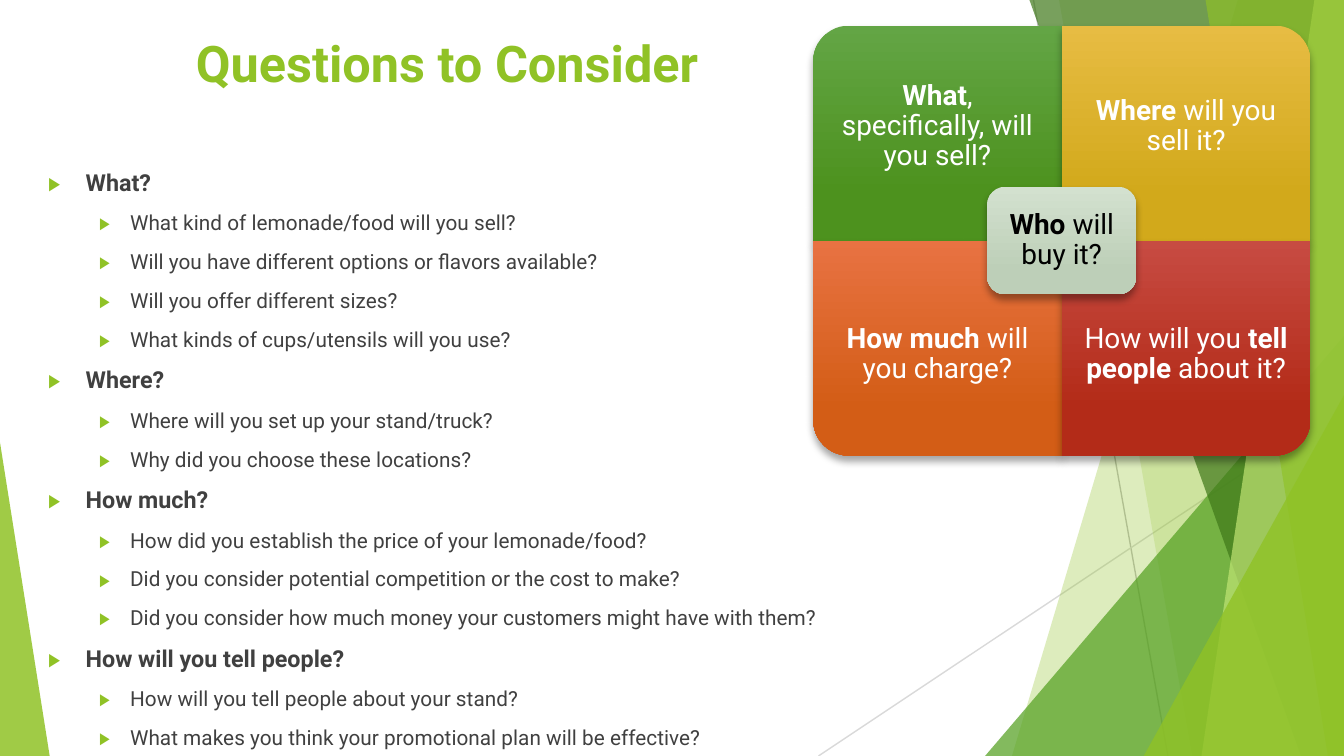
"""Build the lemonade stand slide "Questions to Consider"."""
import pptx
import pptx.util
import pptx.dml.color
import pptx.enum.shapes
import pptx.enum.text
import pptx.oxml
import pptx.oxml.ns
from lxml import etree

Inches, Pt = pptx.util.Inches, pptx.util.Pt
SHAPE = pptx.enum.shapes.MSO_SHAPE
qn = pptx.oxml.ns.qn

W = 10
H = W * 9 / 16
FONT, BULLET_FONT = "Roboto", "Noto Sans Symbols"
COLORS = {
    "lime": "90C226", "green": "54A021", "forest": "3F7819", "pale": "C0E474",
    "text": "404040", "white": "FFFFFF", "black": "000000",
    "line": "BFBFBF", "faint": "D9D9D9",
}
LINES = [((7.69, 0), (8.69, H), "line"), ((W, 3.02), (6.09, H), "faint")]
FACETS = [
    ("band", 9.21, 7.53, "lime", 30),
    ("band", 7.88, 8.87, "lime", 20),
    ("triangle", 7.33, 2.5, "green", 72),
    ("band", 7.66, 9.68, "forest", 70),
    ("band", 9.78, 8.94, "pale", 70),
    ("band", 8.97, 9.88, "lime", 65),
    ("triangle", 8.51, 2.94, "lime", 80),
]
TITLE = "Questions to Consider"
QUESTIONS = [
    ("What?", ["What kind of lemonade/food will you sell?",
               "Will you have different options or flavors available?",
               "Will you offer different sizes?",
               "What kinds of cups/utensils will you use?"]),
    ("Where?", ["Where will you set up your stand/truck?",
                "Why did you choose these locations?"]),
    ("How much?", ["How did you establish the price of your lemonade/food?",
                   "Did you consider potential competition or the cost to make?",
                   "Did you consider how much money your customers might have with them?"]),
    ("How will you tell people?", ["How will you tell people about your stand?",
                                   "What makes you think your promotional plan will be effective?"]),
]
LEVELS = [(12.5, True, 0.28, -0.28), (11.1, False, 0.61, -0.23)]
TILES = [
    (0, 0, 270, "63A545", "4D921E", [("What", True), (", specifically, will you sell?", False)]),
    (1, 0, 0, "E7BC43", "D2A91B", [("Where", True), (" will you sell it?", False)]),
    (0, 1, 180, "E87242", "D35D16", [("How much ", True), ("will you charge?", False)]),
    (1, 1, 90, "C74B42", "B32B18", [("How will you ", False), ("tell people", True), (" about it?", False)]),
]
HUB = ("D3E1CF", "BDCFB8", [("Who", True), (" will buy it?", False)])
GRID_X, GRID_Y, TILE_W, TILE_H = 6.05, 0.19, 1.85, 1.6
HUB_W, HUB_H = 1.11, 0.8
TEXT_H, TEXT_TOPS = 1.2, (0.15, 0.25)

prs = pptx.Presentation()
prs.slide_width, prs.slide_height = Inches(W), Inches(H)
shapes = prs.slides.add_slide(prs.slide_layouts[6]).shapes


def rgb(value):
    return pptx.dml.color.RGBColor.from_string(value)


def add_xml(parent, tag, **attrs):
    return etree.SubElement(parent, qn(tag), {k: str(v) for k, v in attrs.items()})


def style_font(font, size, color, bold=None):
    font.name, font.size, font.bold = FONT, Pt(size), bold
    font.color.rgb = rgb(COLORS[color])


def add_preset(kind, x, y, w, h):
    sp = shapes.add_shape(kind, Inches(x), Inches(y), Inches(w), Inches(h))
    sp.shadow.inherit = False
    sp.line.fill.background()
    return sp


def fill_clear(sp, color, opacity):
    sp.shadow.inherit = False
    sp.line.fill.background()
    sp.fill.solid()
    sp.fill.fore_color.rgb = rgb(COLORS[color])
    add_xml(sp._element.spPr.find(".//" + qn("a:srgbClr")), "a:alpha", val=opacity * 1000)


def add_facet(kind, a, b, color, opacity):
    if kind == "triangle":
        sp = add_preset(SHAPE.ISOSCELES_TRIANGLE, a, b, W - a, H - b)
        sp.adjustments[0] = 1
    else:
        builder = shapes.build_freeform(Inches(a), 0)
        builder.add_line_segments([(Inches(x), Inches(y)) for x, y in ((W, 0), (W, H), (b, H))])
        sp = builder.convert_to_shape()
    fill_clear(sp, color, opacity)


def add_card(kind, x, y, w, h, light, dark, turn=0):
    if turn % 180:
        x, y, w, h = x + (w - h) / 2, y + (h - w) / 2, h, w
    sp = add_preset(kind, x, y, w, h)
    sp.rotation = turn
    sp.fill.gradient()
    sp.fill.gradient_angle = 270
    for stop, color, position in zip(sp.fill.gradient_stops, (light, dark), (0, 0.78)):
        stop.color.rgb, stop.position = rgb(color), position
    spPr = sp._element.spPr
    spPr.find(qn("a:gradFill")).set("rotWithShape", "0")
    shadow = add_xml(spPr.find(qn("a:effectLst")), "a:outerShdw", blurRad=Pt(4), dist=Pt(3),
                     dir=5400000, algn="ctr", rotWithShape=0)
    add_xml(add_xml(shadow, "a:srgbClr", val=COLORS["black"]), "a:alpha", val=35000)


def add_text(x, y, w, h):
    tf = shapes.add_textbox(Inches(x), Inches(y), Inches(w), Inches(h)).text_frame
    tf.word_wrap = True
    return tf


def add_label(x, y, w, h, runs, color, inset):
    tf = add_text(x, y, w, h)
    tf.vertical_anchor = pptx.enum.text.MSO_ANCHOR.MIDDLE
    tf.margin_left = tf.margin_right = tf.margin_top = tf.margin_bottom = Inches(inset)
    p = tf.paragraphs[0]
    p.alignment, p.line_spacing = pptx.enum.text.PP_ALIGN.CENTER, 0.9
    for text, bold in runs:
        r = p.add_run()
        r.text = text
        style_font(r.font, 15, color, bold)


def add_bullet(p, level, text):
    size, bold, margin, indent = LEVELS[level]
    p.text, p.level = text, level
    pPr = p._p.get_or_add_pPr()
    pPr.set("marL", str(Inches(margin)))
    pPr.set("indent", str(Inches(indent)))
    add_xml(add_xml(pPr, "a:buClr"), "a:srgbClr", val=COLORS["lime"])
    add_xml(pPr, "a:buSzPct", val=80000)
    add_xml(pPr, "a:buFont", typeface=BULLET_FONT)
    add_xml(pPr, "a:buChar", char="▶")
    style_font(p.font, size, "text", bold)


for start, end, color in LINES:
    cx = shapes.add_connector(pptx.enum.shapes.MSO_CONNECTOR.STRAIGHT, *map(Inches, start + end))
    cx.line.color.rgb, cx.line.width = rgb(COLORS[color]), Pt(0.75)
    add_xml(cx._element.spPr, "a:effectLst")
for facet in FACETS:
    add_facet(*facet)
corner = add_preset(SHAPE.ISOSCELES_TRIANGLE, 0, 3.29, 0.37, H - 3.29)
corner.adjustments[0] = 0
fill_clear(corner, "lime", 85)

p = add_text(1.36, 0.19, 5.76, 0.94).paragraphs[0]
p.text = TITLE
style_font(p.font, 27, "lime", True)

tf = add_text(0.26, 1.2, 7.96, 4.38)
rows = [row for head, items in QUESTIONS for row in [(0, head)] + [(1, item) for item in items]]
for i, (level, text) in enumerate(rows):
    p = tf.add_paragraph() if i else tf.paragraphs[0]
    add_bullet(p, level, text)
    if i:
        p.space_before = Pt(7.5)

for col, row, turn, light, dark, runs in TILES:
    x, y = GRID_X + col * TILE_W, GRID_Y + row * TILE_H
    add_card(SHAPE.ROUND_1_RECTANGLE, x, y, TILE_W, TILE_H, light, dark, turn)
    add_label(x, y + TEXT_TOPS[row], TILE_W, TEXT_H, runs, "white", 0.12)
light, dark, runs = HUB
hub = (GRID_X + TILE_W - HUB_W / 2, GRID_Y + TILE_H - HUB_H / 2, HUB_W, HUB_H)
add_card(SHAPE.ROUNDED_RECTANGLE, *hub, light, dark)
add_label(*hub, runs, "black", 0.1)

prs.save("out.pptx")
